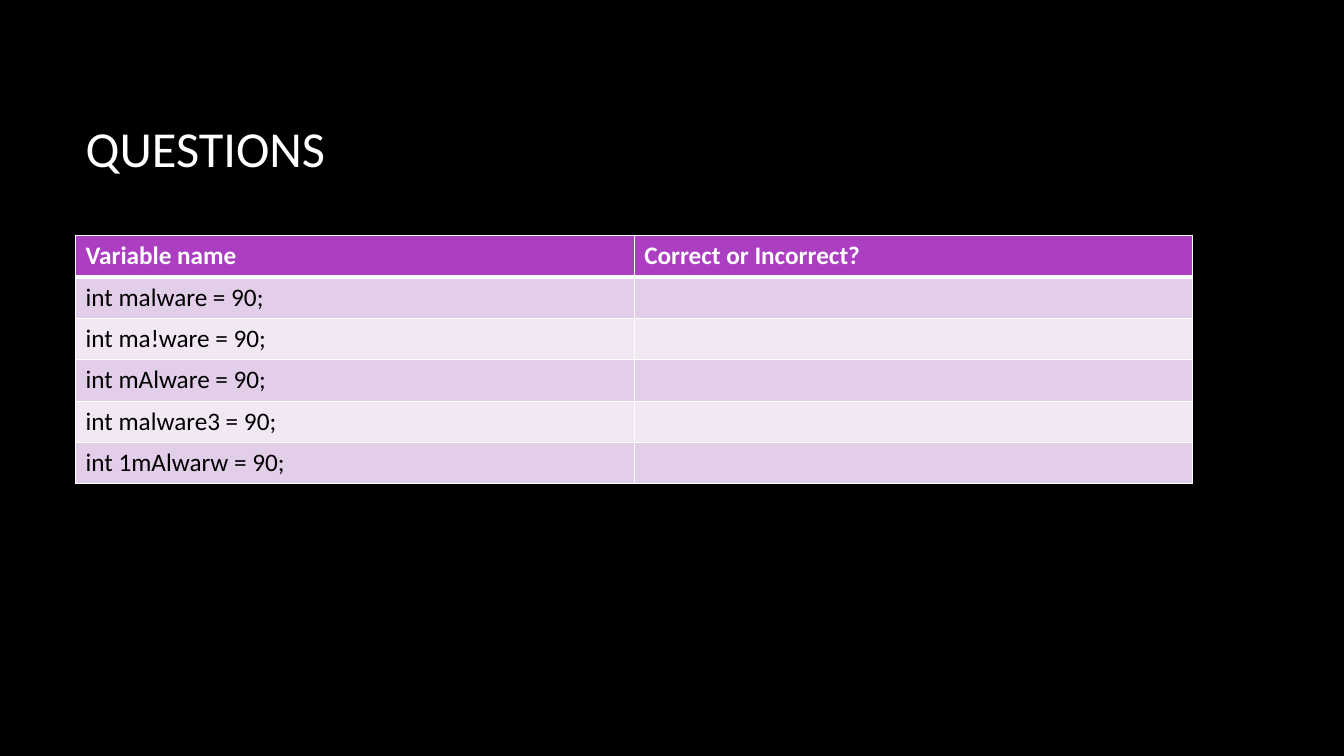
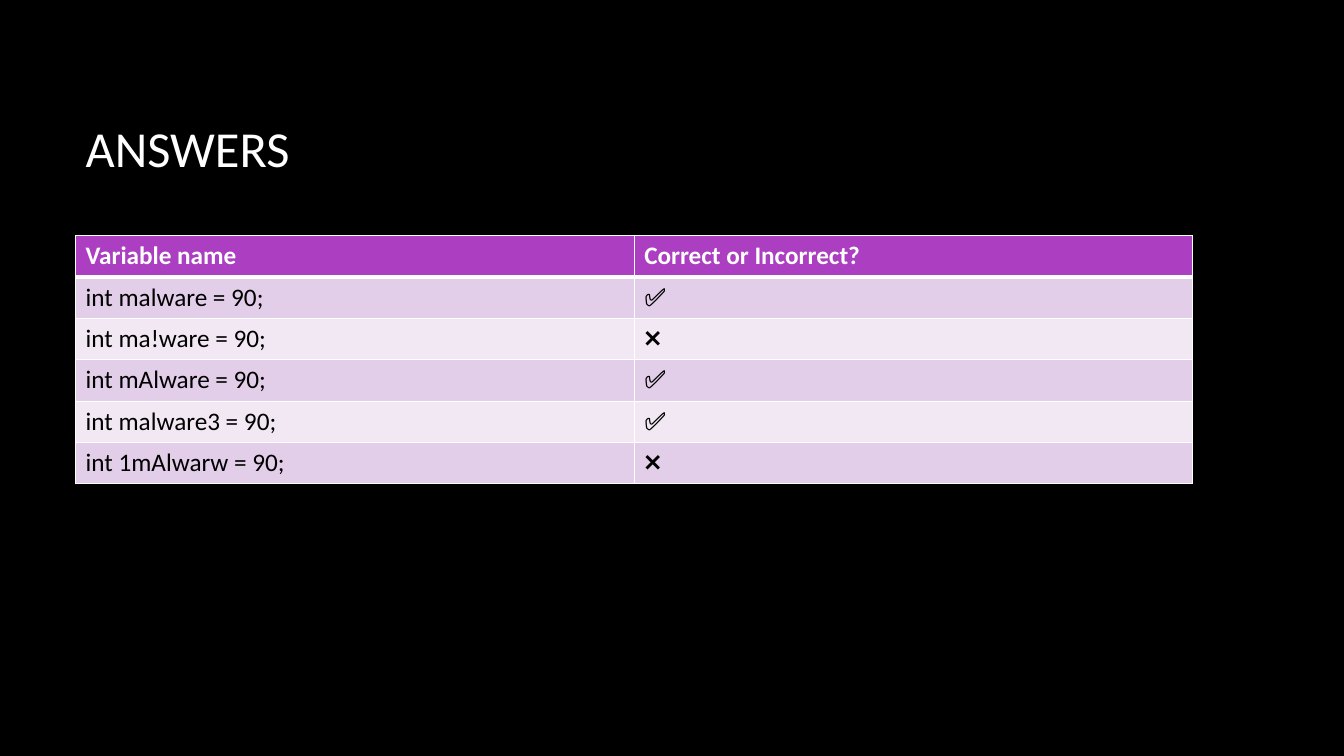
from lxml.etree import SubElement
from pptx import Presentation
from pptx.dml.color import RGBColor
from pptx.enum.text import MSO_ANCHOR, PP_ALIGN
from pptx.oxml.ns import qn
from pptx.util import Inches, Pt

COLORS = {
    "background": "000000",
    "light": "FFFFFF",
    "dark": "000000",
    "header": "AC3EC1",
    "odd_row": "E3CEE9",
    "even_row": "F1E8F4",
}
FONT = "Calibri"
LEFT, WIDTH = 0.75, 11.08
TITLE_TOP, TITLE_HEIGHT = 0.67, 1.59
TABLE_TOP, ROW_HEIGHT = 2.34, 0.41
THIN, THICK = 1, 3

HEADINGS = ("Variable name", "Correct or Incorrect?")
DECLARATIONS = {
    "int malware = 90;": "✅",
    "int ma!ware = 90;": "❌",
    "int mAlware = 90;": "✅",
    "int malware3 = 90;": "✅",
    "int 1mAlwarw = 90;": "❌",
}


def rgb(name):
    return RGBColor.from_string(COLORS[name])


def write_text(frame, text, size=18, color="dark", bold=False, align=PP_ALIGN.LEFT):
    paragraph = frame.paragraphs[0]
    paragraph.alignment = align
    paragraph.font.size = Pt(size)
    if text:
        run = paragraph.add_run()
        run.text = text
        run.font.name = FONT
        run.font.size = Pt(size)
        run.font.bold = bold
        run.font.color.rgb = rgb(color)


def set_borders(cell, **widths):
    properties = cell._tc.get_or_add_tcPr()
    for side in "LRTB":
        line = SubElement(properties, qn(f"a:ln{side}"), w=str(Pt(widths.get(side, THIN))))
        fill = SubElement(line, qn("a:solidFill"))
        SubElement(fill, qn("a:srgbClr"), val=COLORS["light"])


def style_master(prs):
    background = prs.slide_master.background.fill
    background.solid()
    background.fore_color.rgb = rgb("background")


def add_title(slide, text):
    title = slide.shapes.title
    title.left, title.top = Inches(LEFT), Inches(TITLE_TOP)
    title.width, title.height = Inches(WIDTH), Inches(TITLE_HEIGHT)
    title.text_frame.vertical_anchor = MSO_ANCHOR.MIDDLE
    write_text(title.text_frame, text, size=36, color="light")


def add_variable_table(slide, rows):
    table = slide.shapes.add_table(
        len(rows), len(HEADINGS), Inches(LEFT), Inches(TABLE_TOP),
        Inches(WIDTH), Inches(ROW_HEIGHT * len(rows)),
    ).table
    for row_index, values in enumerate(rows):
        is_header = row_index == 0
        row_fill = "header" if is_header else ("even_row", "odd_row")[row_index % 2]
        for column_index, value in enumerate(values):
            cell = table.cell(row_index, column_index)
            set_borders(
                cell,
                T=THICK if row_index == 1 else THIN,
                B=THICK if is_header else THIN,
            )
            cell.fill.solid()
            cell.fill.fore_color.rgb = rgb(row_fill)
            write_text(cell.text_frame, value,
                       color="light" if is_header else "dark", bold=is_header)


def add_quiz_slide(prs, title, show_answers):
    slide = prs.slides.add_slide(prs.slide_layouts[5])
    add_title(slide, title)
    rows = [HEADINGS]
    for declaration, verdict in DECLARATIONS.items():
        rows.append((declaration, verdict if show_answers else ""))
    add_variable_table(slide, rows)


def main():
    prs = Presentation()
    prs.slide_width, prs.slide_height = Inches(13.33), Inches(7.5)
    style_master(prs)
    add_quiz_slide(prs, "QUESTIONS", show_answers=False)
    add_quiz_slide(prs, "ANSWERS", show_answers=True)
    prs.save("out.pptx")


if __name__ == "__main__":
    main()
